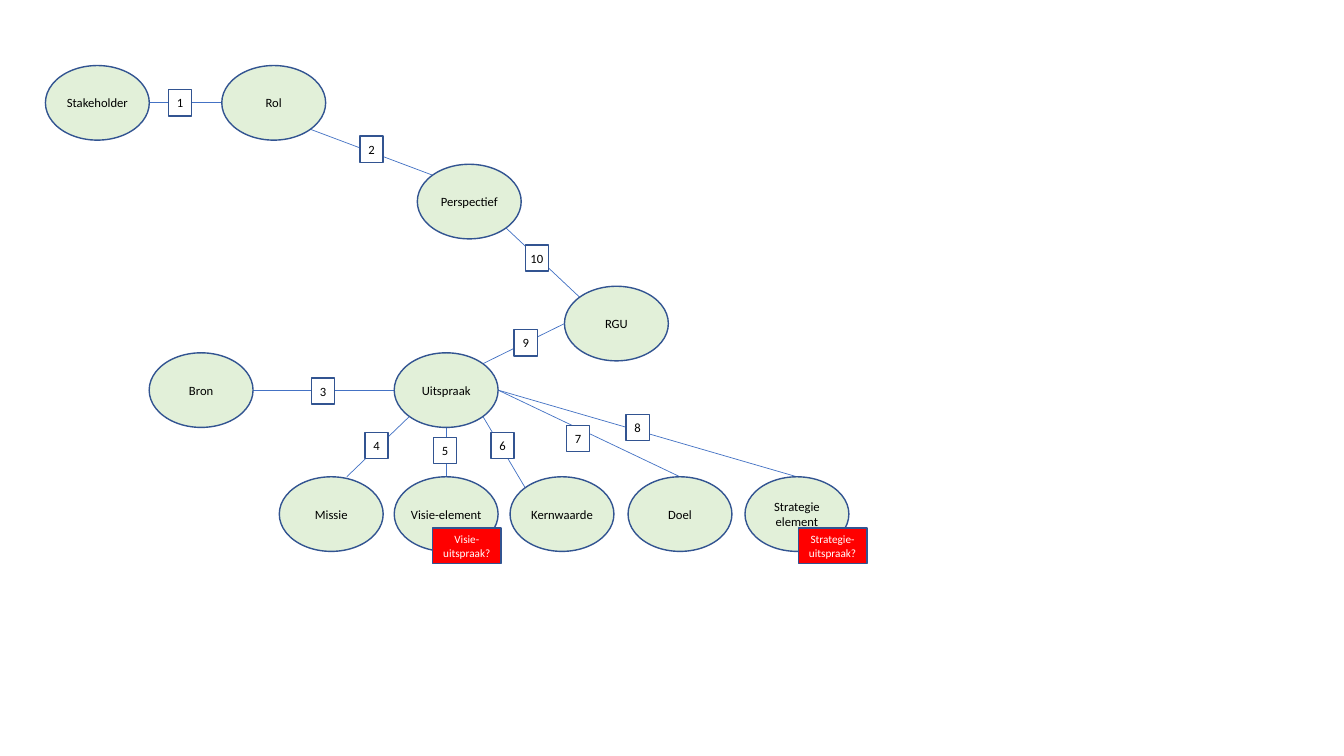
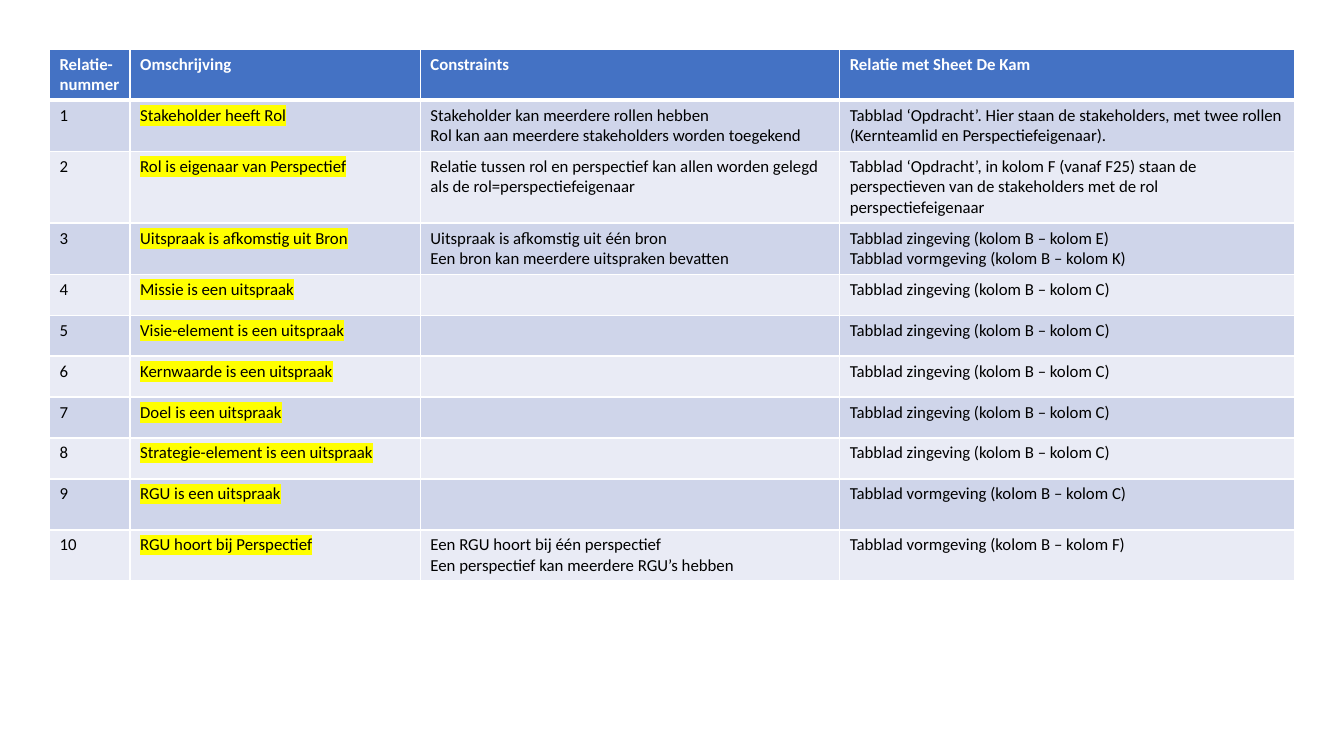
import pptx
import pptx.util
import pptx.dml.color
import pptx.enum.shapes
import pptx.enum.text
import pptx.oxml.ns
from lxml import etree

RGB = pptx.dml.color.RGBColor
BLUE = RGB(0x44, 0x72, 0xC4)
EDGE = RGB(0x32, 0x54, 0x91)
GREEN = RGB(0xE2, 0xF0, 0xD9)
RED = RGB(0xFF, 0x00, 0x00)
WHITE = RGB(0xFF, 0xFF, 0xFF)
BLACK = RGB(0x00, 0x00, 0x00)
BANDS = [RGB(0xE9, 0xEB, 0xF5), RGB(0xCF, 0xD5, 0xEA)]
YELLOW = RGB(0xFF, 0xFF, 0x00)

Pt = pptx.util.Pt
KIND = pptx.enum.shapes.MSO_SHAPE
CENTER = pptx.enum.text.PP_ALIGN.CENTER
LEFT = pptx.enum.text.PP_ALIGN.LEFT
qn = pptx.oxml.ns.qn

deck = pptx.Presentation()
deck.slide_width = pptx.util.Inches(13.33)
deck.slide_height = pptx.util.Inches(7.5)
# Every length is a count of columns or rows, 100 of each to the slide
COL = deck.slide_width / 100
ROW = deck.slide_height / 100
blank = deck.slide_layouts[6]


def write(frame, text, look, color, align, mark=None):
    for i, line in enumerate(text.split("\n")):
        para = frame.paragraphs[0] if i == 0 else frame.add_paragraph()
        para.alignment = align
        run = para.add_run()
        run.text = line
        for key, value in look.items():
            setattr(run.font, key, value)
        run.font.color.rgb = color
        if mark:
            light = etree.Element(qn("a:highlight"))
            etree.SubElement(light, qn("a:srgbClr"), val=str(mark))
            run._r.rPr.find(qn("a:solidFill")).addnext(light)


def draw(kind, spot, size, text, fill, color, points, inset=0):
    shape = slide.shapes.add_shape(
        kind, int(spot[0] * COL), int(spot[1] * ROW),
        int(size[0] * COL), int(size[1] * ROW))
    shape.shadow.inherit = False
    shape.fill.solid()
    shape.fill.fore_color.rgb = fill
    shape.line.color.rgb = EDGE
    shape.line.width = Pt(1)
    frame = shape.text_frame
    pads = {"margin_left": inset, "margin_right": inset,
            "margin_top": inset, "margin_bottom": inset,
            "word_wrap": True,
            "vertical_anchor": pptx.enum.text.MSO_ANCHOR.MIDDLE}
    for key, value in pads.items():
        setattr(frame, key, value)
    write(frame, text, {"name": "Calibri", "size": Pt(points)}, color, CENTER)


# Slide 1: concept map
slide = deck.slides.add_slide(blank)
OVAL = (7.73, 9.87)
BASE = 63.07
nodes = {
    "Stakeholder": (3.38, 8.67),
    "Rol": (16.5, 8.67),
    "Perspectief": (31.05, 21.73),
    "RGU": (42, 37.87),
    "Bron": (11.1, 46.67),
    "Uitspraak": (29.33, 46.67),
    "Missie": (20.78, BASE),
    "Visie-element": (29.33, BASE),
    "Kernwaarde": (37.95, BASE),
    "Doel": (46.73, BASE),
    "Strategie element": (55.43, BASE),
}

# Points on an oval, in half widths and half heights from its centre
D = 0.71
sites = {"N": (0, -1), "E": (1, 0), "S": (0, 1), "W": (-1, 0),
         "NE": (D, -D), "SE": (D, D), "SW": (-D, D), "NW": (-D, -D),
         "NNE": (0.3, -1)}

# Each link: start, its site, end, its site, number, spot of the number
links = [
    ("Stakeholder", "E", "Rol", "W", "1", (12.53, 11.87)),
    ("Rol", "SE", "Perspectief", "NW", "2", (26.78, 18)),
    ("Bron", "E", "Uitspraak", "W", "3", (23.18, 50)),
    ("Uitspraak", "SW", "Missie", "NNE", "4", (27.15, 57.2)),
    ("Uitspraak", "S", "Visie-element", "N", "5", (32.25, 57.87)),
    ("Uitspraak", "SE", "Kernwaarde", "NW", "6", (36.53, 57.2)),
    ("Uitspraak", "E", "Doel", "N", "7", (42.15, 56.27)),
    ("Uitspraak", "E", "Strategie element", "N", "8", (46.58, 54.8)),
    ("Uitspraak", "NE", "RGU", "W", "9", (38.25, 43.6)),
    ("RGU", "NW", "Perspectief", "SE", "10", (39.08, 32.4)),
]

# Lines
for start, out, end, into, num, spot in links:
    ends = []
    for name, site in ((start, out), (end, into)):
        (x, y), (dx, dy) = nodes[name], sites[site]
        ends += [int((x + OVAL[0] * (1 + dx) / 2) * COL),
                 int((y + OVAL[1] * (1 + dy) / 2) * ROW)]
    line = slide.shapes.add_connector(
        pptx.enum.shapes.MSO_CONNECTOR.STRAIGHT, *ends)
    line.line.color.rgb = BLUE
    line.line.width = Pt(0.5)
    etree.SubElement(line._element.spPr, qn("a:effectLst"))

# Ovals, numbers and red remarks
for name, spot in nodes.items():
    draw(KIND.OVAL, spot, OVAL, name, GREEN, BLACK, 9)
for *route, num, spot in links:
    draw(KIND.RECTANGLE, spot, (1.73, 3.47), num, WHITE, BLACK, 9)
for text, x in (("Visie-uitspraak?", 32.18), ("Strategie-uitspraak?", 59.4)):
    draw(KIND.RECTANGLE, (x, 69.87), (5.1, 4.67), text, RED, WHITE, 8, Pt(4))

# Slide 2: table of relations
slide = deck.slides.add_slide(blank)
AIM = "Tabblad zingeving (kolom B – kolom C)"
FORM = "Tabblad vormgeving (kolom B – kolom "
heads = ["Relatie-nummer", "Omschrijving", "Constraints",
         "Relatie met Sheet De Kam"]
facts = [
    ("Stakeholder heeft Rol",
     "Stakeholder kan meerdere rollen hebben\n"
     "Rol kan aan meerdere stakeholders worden toegekend",
     "Tabblad ‘Opdracht’. Hier staan de stakeholders, met twee rollen "
     "(Kernteamlid en Perspectiefeigenaar)."),
    ("Rol is eigenaar van Perspectief",
     "Relatie tussen rol en perspectief kan allen worden gelegd "
     "als de rol=perspectiefeigenaar",
     "Tabblad ‘Opdracht’, in kolom F (vanaf F25) staan de perspectieven "
     "van de stakeholders met de rol perspectiefeigenaar"),
    ("Uitspraak is afkomstig uit Bron",
     "Uitspraak is afkomstig uit één bron\n"
     "Een bron kan meerdere uitspraken bevatten",
     "Tabblad zingeving (kolom B – kolom E)\n" + FORM + "K)"),
    ("Missie is een uitspraak", "", AIM),
    ("Visie-element is een uitspraak", "", AIM),
    ("Kernwaarde is een uitspraak", "", AIM),
    ("Doel is een uitspraak", "", AIM),
    ("Strategie-element is een uitspraak", "", AIM),
    ("RGU is een uitspraak", "", FORM + "C)"),
    ("RGU hoort bij Perspectief",
     "Een RGU hoort bij één perspectief\n"
     "Een perspectief kan meerdere RGU’s hebben",
     FORM + "F)"),
]
rows = [heads] + [(str(i), *fact) for i, fact in enumerate(facts, 1)]
wide = [6, 21.6, 31.2, 33.83]
ONE, TWO, THREE = 5.42, 6.75, 9.5
high = [TWO, TWO, THREE, TWO] + [ONE] * 5 + [TWO] * 2

grid = slide.shapes.add_table(
    len(rows), len(wide), int(3.68 * COL), int(6.5 * ROW),
    int(sum(wide) * COL), int(sum(high) * ROW)).table
for col, width in zip(grid.columns, wide):
    col.width = int(width * COL)

for r, (row, height) in enumerate(zip(rows, high)):
    grid.rows[r].height = int(height * ROW)
    head = r == 0
    look = {"name": "Calibri", "size": Pt(12), "bold": head}
    for c, text in enumerate(row):
        cell = grid.cell(r, c)
        # White borders, thick below the head
        for side in "LRTB":
            thick = (head and side == "B") or (r == 1 and side == "T")
            rim = etree.SubElement(cell._tc.get_or_add_tcPr(),
                                   qn("a:ln" + side),
                                   w=str(Pt(3 if thick else 1)))
            paint = etree.SubElement(rim, qn("a:solidFill"))
            etree.SubElement(paint, qn("a:srgbClr"), val=str(WHITE))
        cell.fill.solid()
        cell.fill.fore_color.rgb = BLUE if head else BANDS[r % 2]
        if text:
            write(cell.text_frame, text, look, WHITE if head else BLACK,
                  LEFT, YELLOW if c == 1 and not head else None)

deck.save("out.pptx")
